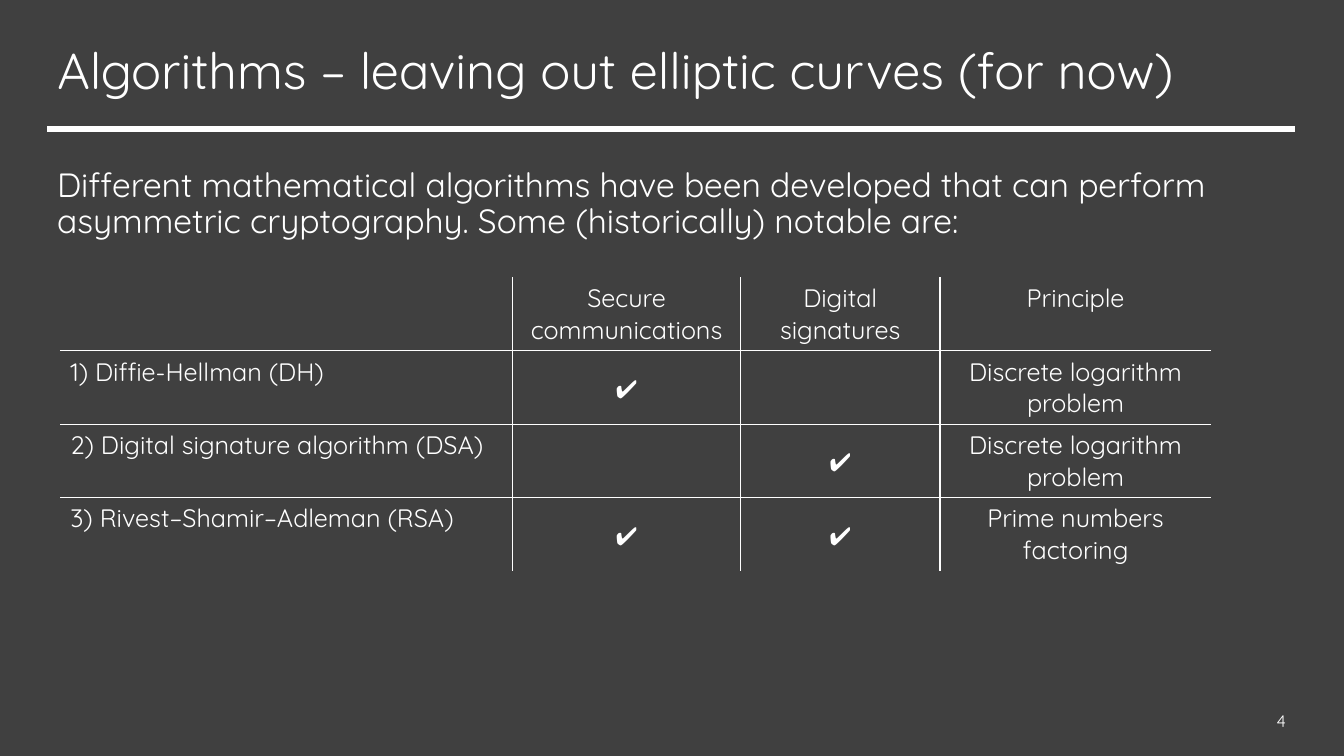
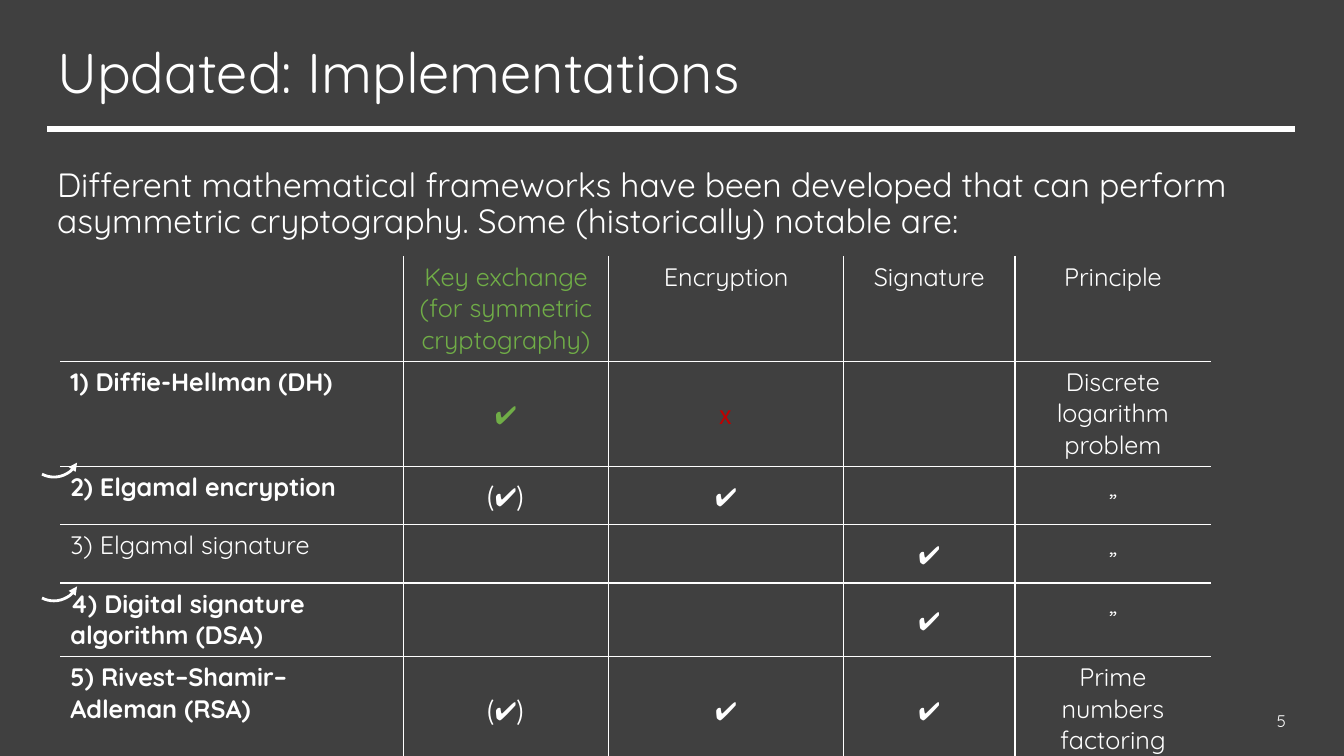
from lxml import etree
from pptx import Presentation
from pptx import util as u
from pptx.dml.color import RGBColor
from pptx.enum import shapes, text
from pptx.oxml.ns import qn

COLORS = {"ground": "404040", "ink": "FFFFFF", "yes": "70AD47", "no": "C00000"}
FONT = "Quicksand"
MARK_FONT = "Noto Sans CJK JP"
MARKS = {"✔", "(✔)", "x"}
LEFT, WIDTH = 1.19, 31.45
TABLE_LEFT = 1.52
ALIGN = text.PP_ALIGN
ANCHOR = text.MSO_ANCHOR

ALGORITHMS = [
    ["", "Secure communications", "Digital signatures", "Principle"],
    ["1) Diffie-Hellman (DH)", "✔", "", "Discrete logarithm problem"],
    ["2) Digital signature algorithm (DSA)", "", "✔", "Discrete logarithm problem"],
    ["3) Rivest–Shamir–Adleman (RSA)", "✔", "✔", "Prime numbers factoring"],
]
IMPLEMENTATIONS = [
    ["", "Key exchange (for symmetric cryptography)", "Encryption", "Signature", "Principle"],
    ["1) Diffie-Hellman (DH)", "✔", "x", "", "Discrete logarithm problem"],
    ["2) Elgamal encryption", "(✔)", "✔", "", "„"],
    ["3) Elgamal signature", "", "", "✔", "„"],
    ["4) Digital signature algorithm (DSA)", "", "", "✔", "„"],
    ["5) Rivest–Shamir–Adleman (RSA)", "(✔)", "✔", "✔", "Prime numbers factoring"],
]


def rgb(name):
    return RGBColor.from_string(COLORS[name])


def apply(target, formats):
    for name, value in formats.items():
        setattr(target, name, value)


def write(frame, words, size, color="ink", font=FONT, bold=False, **para_formats):
    para = frame.paragraphs[0]
    apply(para, para_formats)
    span = para.add_run()
    span.text = words
    apply(span.font, {"size": u.Pt(size), "name": font, "bold": bold})
    span.font.color.rgb = rgb(color)


def place(shape, left, top, width, height):
    apply(shape, {"left": u.Cm(left), "top": u.Cm(top),
                  "width": u.Cm(width), "height": u.Cm(height)})


def add_text(page, words, size, area, anchor=ANCHOR.TOP, **para_formats):
    box = page.shapes.add_textbox(*map(u.Cm, area))
    apply(box.text_frame, {"word_wrap": True, "vertical_anchor": anchor})
    write(box.text_frame, words, size, **para_formats)


def style_line(line, width):
    line.color.rgb = rgb("ink")
    line.width = u.Pt(width)


def add_page(deck, title, title_size, intro, number):
    page = deck.slides.add_slide(deck.slide_layouts[5])
    heading = page.shapes.title
    place(heading, LEFT, 1.02, WIDTH, 1.8)
    apply(heading.text_frame, {"word_wrap": True, "vertical_anchor": ANCHOR.TOP,
                               "auto_size": text.MSO_AUTO_SIZE.NONE})
    write(heading.text_frame, title, title_size, alignment=ALIGN.LEFT, line_spacing=0.9)
    rule = page.shapes.add_connector(
        shapes.MSO_CONNECTOR.STRAIGHT,
        u.Cm(LEFT), u.Cm(3.25), u.Cm(LEFT + WIDTH), u.Cm(3.25))
    style_line(rule.line, 4.5)
    etree.SubElement(rule._element.spPr, qn("a:effectLst"))
    add_text(page, intro, 24, (LEFT, 4.11, WIDTH, 13.03), line_spacing=0.9)
    add_text(page, number, 12, (28.98, 17.65, 3.68, 1.02), ANCHOR.MIDDLE,
             alignment=ALIGN.RIGHT)
    return page


def set_borders(cell, drawn):
    """Draw the sides named in drawn (of L, R, T, B) and clear the others."""
    props = cell._tc.get_or_add_tcPr()
    for position, side in enumerate("LRTB"):
        edge = etree.Element(qn(f"a:ln{side}"), w=str(u.Pt(1)))
        if side in drawn:
            fill = etree.SubElement(edge, qn("a:solidFill"))
            etree.SubElement(fill, qn("a:srgbClr"), val=COLORS["ink"])
        else:
            etree.SubElement(edge, qn("a:noFill"))
        props.insert(position, edge)


def add_grid(page, top, widths, heights, rows, bold_rows=(), tints=None):
    """Add a table with inner lines only; tints maps (row, column) to a colour."""
    tints = tints or {}
    frame = page.shapes.add_table(
        len(rows), len(widths), u.Cm(TABLE_LEFT), u.Cm(top),
        u.Cm(sum(widths)), u.Cm(sum(heights)))
    table = frame.table
    apply(table, {"first_row": False, "horz_banding": False})
    for column, width in zip(table.columns, widths):
        column.width = u.Cm(width)
    for row, height in zip(table.rows, heights):
        row.height = u.Cm(height)
    for r, row in enumerate(rows):
        for c, words in enumerate(row):
            cell = table.cell(r, c)
            cell.fill.background()
            inner = {"L": c > 0, "R": c < len(row) - 1, "T": r > 0, "B": r < len(rows) - 1}
            set_borders(cell, {side for side, shown in inner.items() if shown})
            if not words:
                continue
            is_mark = words in MARKS
            cell.vertical_anchor = ANCHOR.MIDDLE if is_mark else ANCHOR.TOP
            write(cell.text_frame, words, 18, tints.get((r, c), "ink"),
                  MARK_FONT if is_mark else FONT, c == 0 and r in bold_rows,
                  alignment=ALIGN.CENTER if c else ALIGN.LEFT)


def add_curved_arrow(page, top):
    arc = page.shapes.add_shape(
        shapes.MSO_SHAPE.ARC, u.Cm(0.71), u.Cm(top), u.Cm(1.3), u.Cm(1.3))
    arc.rotation = 270
    arc.shadow.inherit = False
    arc.fill.background()
    for index, degrees in enumerate((116.12, 207.45)):
        arc.adjustments[index] = degrees * 60000 / 100000
    style_line(arc.line, 2)
    etree.SubElement(arc.line._get_or_add_ln(), qn("a:headEnd"), type="triangle")


def main():
    deck = Presentation()
    apply(deck, {"slide_width": u.Cm(33.87), "slide_height": u.Cm(19.05)})
    ground = deck.slide_master.background.fill
    ground.solid()
    ground.fore_color.rgb = rgb("ground")

    intro = ("Different mathematical {} have been developed that can perform "
             "asymmetric cryptography. Some (historically) notable are:")

    page = add_page(deck, "Algorithms – leaving out elliptic curves (for now)", 36,
                    intro.format("algorithms"), "4")
    add_grid(page, 6.99, [11.4, 5.74, 5.03, 6.83], [1.85] * 4, ALGORITHMS)

    page = add_page(deck, "Updated: Implementations", 40, intro.format("frameworks"), "5")
    add_grid(page, 6.45, [8.64, 5.18, 5.92, 4.32, 4.93],
             [2.65, 2.65, 1.47, 1.47, 1.85, 2.65], IMPLEMENTATIONS,
             bold_rows={1, 2, 4, 5},
             tints={(0, 1): "yes", (1, 1): "yes", (1, 2): "no"})
    for top in (13.84, 10.72):
        add_curved_arrow(page, top)

    deck.save("out.pptx")


if __name__ == "__main__":
    main()
